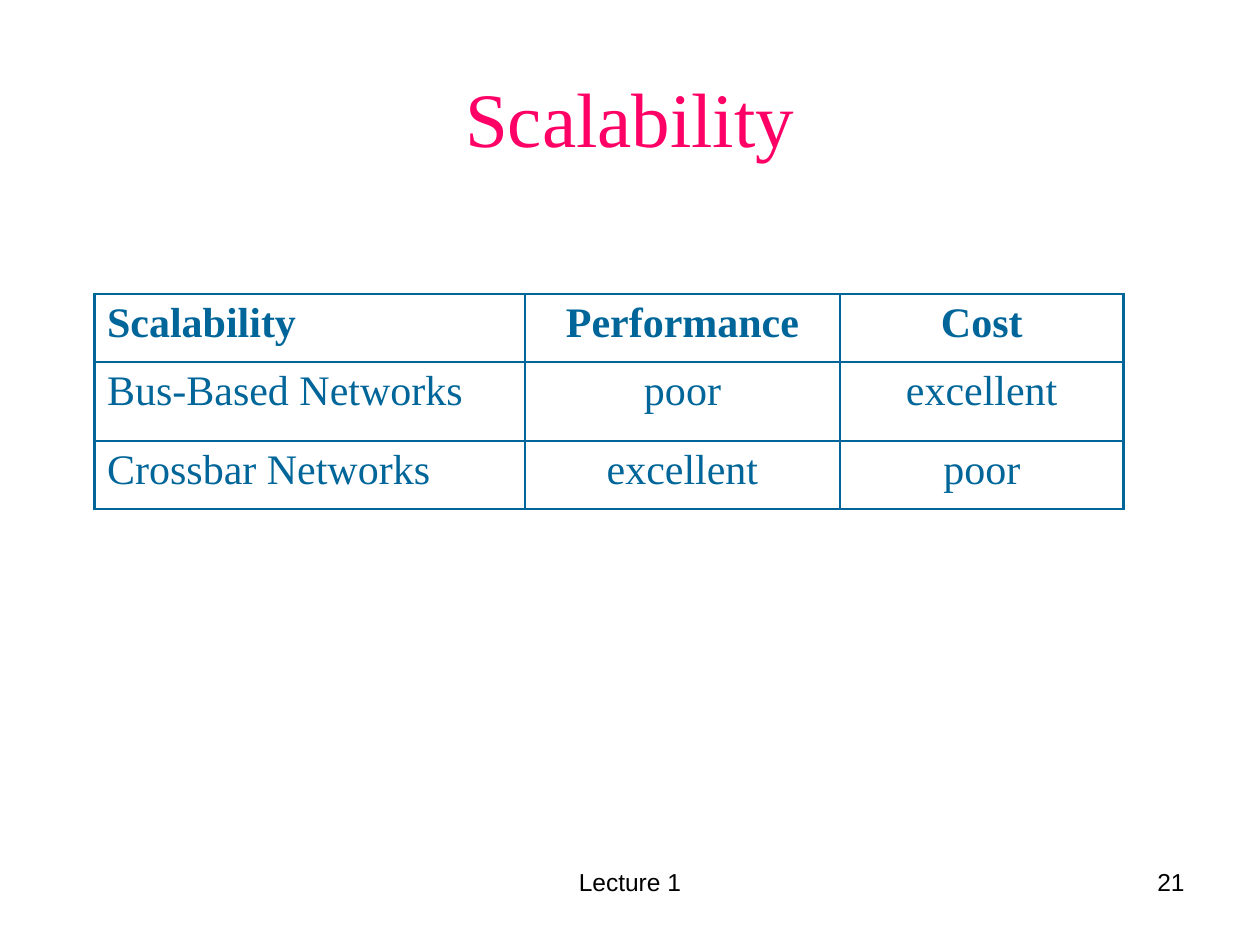
"""Build the Scalability slide with its network comparison table."""
import pptx
import pptx.dml.color
import pptx.enum.text
import pptx.oxml
import pptx.oxml.ns
import pptx.util

Pt = pptx.util.Pt
ALIGN = pptx.enum.text.PP_ALIGN
PINK = pptx.dml.color.RGBColor(0xFF, 0x00, 0x66)
BLUE = pptx.dml.color.RGBColor(0x00, 0x66, 0x99)
BLACK = pptx.dml.color.RGBColor(0x00, 0x00, 0x00)
SERIF = "Times New Roman"
THICK, THIN = 1.47, 0.75


def add_text(tf, text, size, font, color, align, bold=False):
    p = tf.paragraphs[0]
    p.alignment = align
    r = p.add_run()
    r.text = text
    r.font.size = Pt(size)
    r.font.name = font
    r.font.bold = bold
    r.font.color.rgb = color


def add_border(cell, side, width):
    cell._tc.get_or_add_tcPr().append(pptx.oxml.parse_xml(
        f'<a:{side} {pptx.oxml.ns.nsdecls("a")} w="{Pt(width)}">'
        f'<a:solidFill><a:srgbClr val="{BLUE}"/></a:solidFill></a:{side}>'))


prs = pptx.Presentation()
prs.slide_width, prs.slide_height = Pt(720), Pt(540)
s = prs.slides.add_slide(prs.slide_layouts[5])

title = s.shapes.title
title.left, title.top, title.width, title.height = Pt(36), Pt(21.6), Pt(648), Pt(90)
title.text_frame.vertical_anchor = pptx.enum.text.MSO_ANCHOR.MIDDLE
add_text(title.text_frame, "Scalability", 44, SERIF, PINK, ALIGN.CENTER)

rows = [
    ("Scalability", "Performance", "Cost"),
    ("Bus-Based Networks", "poor", "excellent"),
    ("Crossbar Networks", "excellent", "poor"),
]
col_widths = [246, 180, 162]
row_heights = [39, 45, 39]
edges = [THICK, THICK, THIN, THICK]

table = s.shapes.add_table(3, 3, Pt(54), Pt(168), Pt(sum(col_widths)), Pt(sum(row_heights))).table
table.horz_banding = False
table.first_row = False
for column, width in zip(table.columns, col_widths):
    column.width = Pt(width)
for row, height in zip(table.rows, row_heights):
    row.height = Pt(height)

for i, labels in enumerate(rows):
    for j, label in enumerate(labels):
        cell = table.cell(i, j)
        sides = {"lnL": edges[j], "lnR": edges[j + 1], "lnT": edges[i], "lnB": edges[i + 1]}
        for side, width in sides.items():
            add_border(cell, side, width)
        cell.fill.background()
        align = ALIGN.LEFT if j == 0 else ALIGN.CENTER
        add_text(cell.text_frame, label, 24, SERIF, BLUE, align, bold=i == 0)

footers = [
    ("Lecture 1", 246, 228, ALIGN.CENTER),
    ("21", 516, 168, ALIGN.RIGHT),
]
for text, left, width, align in footers:
    tf = s.shapes.add_textbox(Pt(left), Pt(492), Pt(width), Pt(37.5)).text_frame
    tf.word_wrap = True
    add_text(tf, text, 14, "Arial", BLACK, align)

prs.save("out.pptx")
